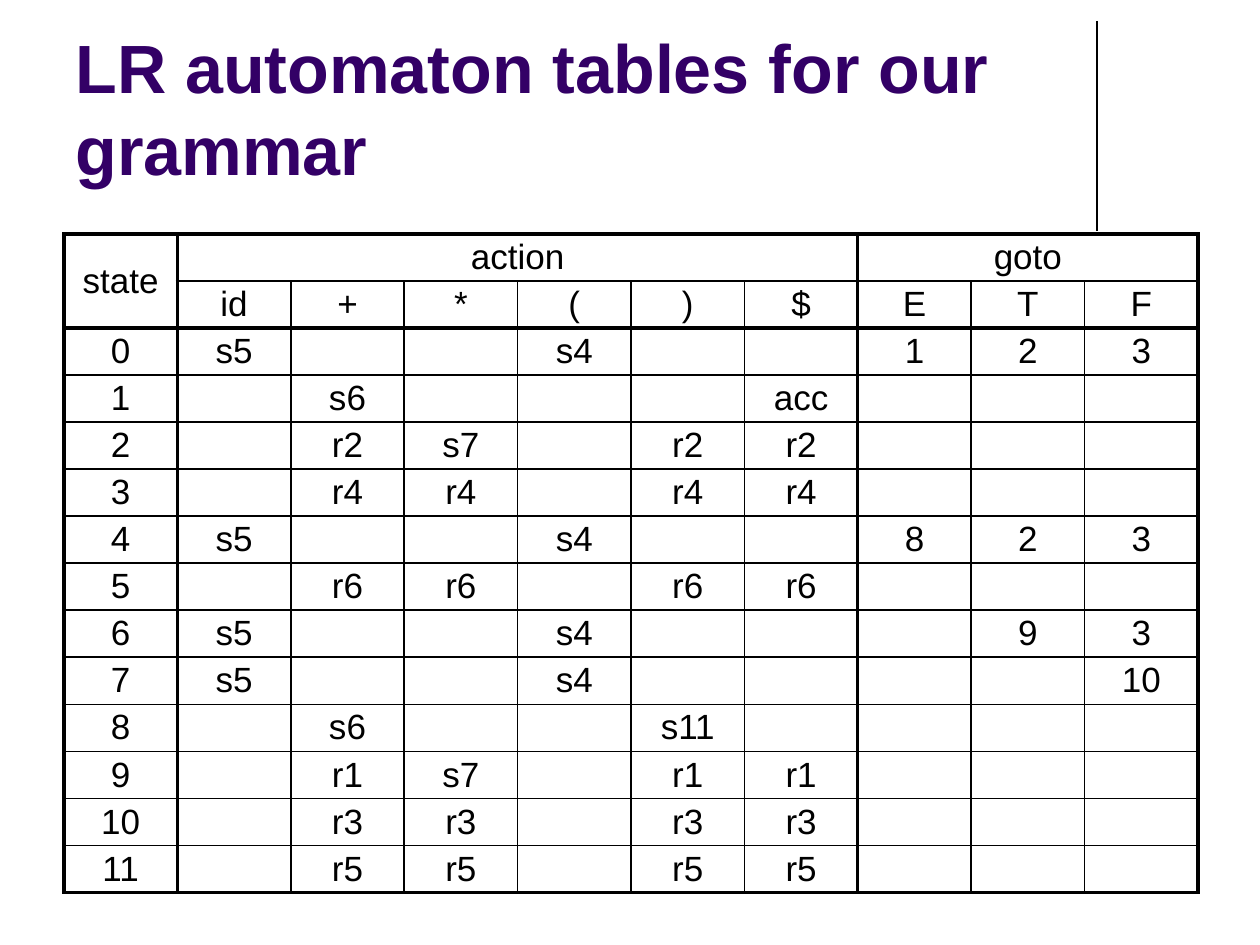
from dataclasses import dataclass

from lxml import etree
from pptx import Presentation, util as u
from pptx.dml.color import RGBColor
from pptx.enum import shapes, text
from pptx.oxml import ns

TITLE = "LR automaton tables for our grammar"
# heading: (first row, first column, last row, last column)
HEADINGS = {"state": (0, 0, 1, 0), "action": (0, 1, 0, 6), "goto": (0, 7, 0, 9)}
SYMBOLS = ["id", "+", "*", "(", ")", "$", "E", "T", "F"]
STATES = [  # filled entries of states 0 to 11
    {"id": "s5", "(": "s4", "E": "1", "T": "2", "F": "3"},
    {"+": "s6", "$": "acc"},
    {"+": "r2", "*": "s7", ")": "r2", "$": "r2"},
    {"+": "r4", "*": "r4", ")": "r4", "$": "r4"},
    {"id": "s5", "(": "s4", "E": "8", "T": "2", "F": "3"},
    {"+": "r6", "*": "r6", ")": "r6", "$": "r6"},
    {"id": "s5", "(": "s4", "T": "9", "F": "3"},
    {"id": "s5", "(": "s4", "F": "10"},
    {"+": "s6", ")": "s11"},
    {"+": "r1", "*": "s7", ")": "r1", "$": "r1"},
    {"+": "r3", "*": "r3", ")": "r3", "$": "r3"},
    {"+": "r5", "*": "r5", ")": "r5", "$": "r5"},
]


@dataclass(frozen=True)
class Theme:
    font: str = "Arial"
    title_color: str = "330066"
    ink: str = "000000"
    title_size: int = 39
    cell_size: int = 20
    thin: float = 1
    heavy: float = 2.25
    rule: float = 0.75


THEME = Theme()
PX = u.Inches(1) / 126
HEADER_ROWS = 2
ROWS = HEADER_ROWS + len(STATES)
COLUMNS = 1 + len(SYMBOLS)
HEAVY_ROWS = {0, HEADER_ROWS, ROWS}
HEAVY_COLUMNS = {0, 1, 7, COLUMNS}


def px(*lengths):
    return [round(length * PX) for length in lengths]


def write(frame, content, size=THEME.cell_size, color=THEME.ink, bold=False,
          align=text.PP_ALIGN.CENTER):
    paragraph = frame.paragraphs[0]
    paragraph.alignment = align
    run = paragraph.add_run()
    run.text = content
    run.font.name = THEME.font
    run.font.size = u.Pt(size)
    run.font.bold = bold
    run.font.color.rgb = RGBColor.from_string(color)


def draw_borders(cell, row, column):
    """Rule each edge; cells hidden by a merge carry only the heavy edges."""
    height = cell.span_height if cell.is_merge_origin else 1
    width = cell.span_width if cell.is_merge_origin else 1
    edges = {
        "lnL": column in HEAVY_COLUMNS,
        "lnR": column + width in HEAVY_COLUMNS,
        "lnT": row in HEAVY_ROWS,
        "lnB": row + height in HEAVY_ROWS,
    }
    properties = cell._tc.get_or_add_tcPr()
    for tag, is_heavy in edges.items():
        if cell.is_spanned and not is_heavy:
            continue
        weight = THEME.heavy if is_heavy else THEME.thin
        line = etree.SubElement(properties, ns.qn(f"a:{tag}"), w=str(u.Pt(weight)))
        fill = etree.SubElement(line, ns.qn("a:solidFill"))
        etree.SubElement(fill, ns.qn("a:srgbClr"), val=THEME.ink)


def add_rule(slide):
    rule = slide.shapes.add_connector(
        shapes.MSO_CONNECTOR.STRAIGHT, *px(1097, 21, 1097, 231))
    rule.line.color.rgb = RGBColor.from_string(THEME.ink)
    rule.line.width = u.Pt(THEME.rule)
    etree.SubElement(rule._element.spPr, ns.qn("a:effectLst"))


def add_title(slide):
    frame = slide.shapes.add_textbox(*px(63, 16, 1040, 179)).text_frame
    frame.word_wrap = True
    frame.vertical_anchor = text.MSO_ANCHOR.BOTTOM
    write(frame, TITLE, size=THEME.title_size, color=THEME.title_color,
          bold=True, align=text.PP_ALIGN.LEFT)


def add_parsing_table(slide):
    table = slide.shapes.add_table(ROWS, COLUMNS, *px(64, 234, 1134, 654)).table
    table.first_row = table.horz_banding = False

    for top, left, bottom, right in HEADINGS.values():
        table.cell(top, left).merge(table.cell(bottom, right))

    contents = {(top, left): name for name, (top, left, _, _) in HEADINGS.items()}
    for column, symbol in enumerate(SYMBOLS, start=1):
        contents[1, column] = symbol
    for state, entries in enumerate(STATES):
        row = HEADER_ROWS + state
        contents[row, 0] = str(state)
        for symbol, entry in entries.items():
            contents[row, 1 + SYMBOLS.index(symbol)] = entry

    for row in range(ROWS):
        for column in range(COLUMNS):
            cell = table.cell(row, column)
            cell.margin_left = cell.margin_right = u.Inches(0.1)
            cell.margin_top = cell.margin_bottom = u.Inches(0.02)
            cell.vertical_anchor = text.MSO_ANCHOR.MIDDLE
            draw_borders(cell, row, column)
            cell.fill.background()
            if (row, column) in contents:
                write(cell.text_frame, contents[row, column])


def main():
    presentation = Presentation()
    presentation.slide_width, presentation.slide_height = px(1260, 945)
    slide = presentation.slides.add_slide(presentation.slide_layouts[6])
    add_rule(slide)
    add_title(slide)
    add_parsing_table(slide)
    presentation.save("out.pptx")


if __name__ == "__main__":
    main()
